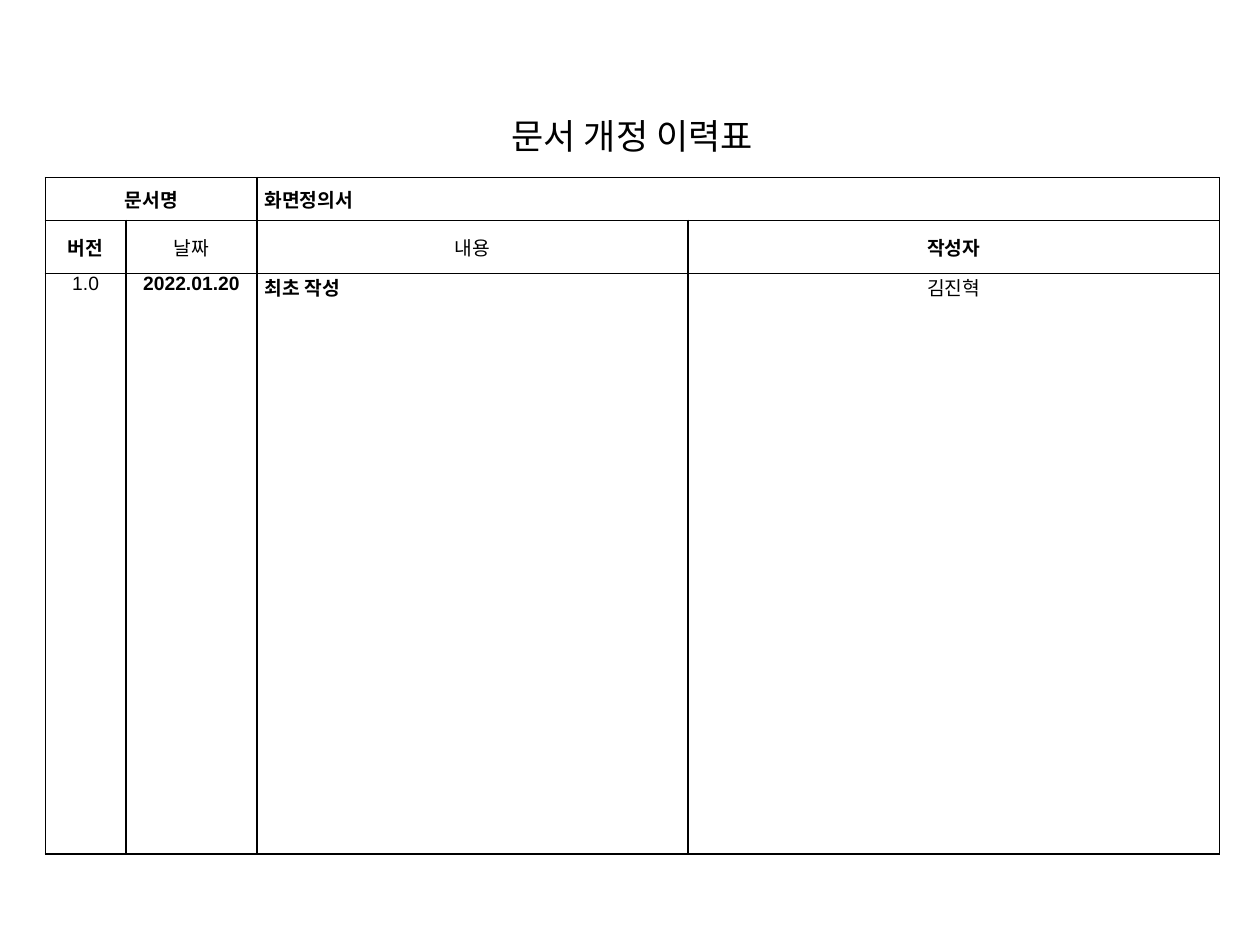
from lxml.etree import SubElement
from pptx import Presentation
from pptx.dml.color import RGBColor
from pptx.enum.text import MSO_ANCHOR as Anchor, PP_ALIGN as Align
from pptx.oxml.ns import qn
from pptx.util import Inches, Pt

BLACK, WHITE = "000000", "FFFFFF"
LATIN_FONT, KOREAN_FONT = "Arial", "Noto Sans CJK KR"
TABLE_LEFT, TABLE_TOP = 0.36, 0.32
COLUMN_WIDTHS = [0.64, 1.04, 3.42, 4.22]
ROW_HEIGHTS = [1.09, 0.34, 0.42, 4.61]
TITLE_ROW, HISTORY_ROW = 0, 3
SIDE_MARGIN, TITLE_BOTTOM_MARGIN = 0.06, 0.14
TITLE_SIZE, BODY_SIZE = 20, 11

# row, column, columns spanned, text, bold, alignment
CELLS = [
    (0, 0, 4, "문서 개정 이력표", False, Align.CENTER),
    (1, 0, 2, "문서명", True, Align.CENTER),
    (1, 2, 2, "화면정의서", True, Align.JUSTIFY),
    (2, 0, 1, "버전", True, Align.CENTER),
    (2, 1, 1, "날짜", False, Align.CENTER),
    (2, 2, 1, "내용", False, Align.CENTER),
    (2, 3, 1, "작성자", True, Align.CENTER),
    (3, 0, 1, "1.0", False, Align.CENTER),
    (3, 1, 1, "2022.01.20", True, Align.CENTER),
    (3, 2, 1, "최초 작성", True, Align.JUSTIFY),
    (3, 3, 1, "김진혁", False, Align.CENTER),
]


def color(hex_value):
    return RGBColor.from_string(hex_value)


def set_borders(cell, is_title):
    properties = cell._tc.get_or_add_tcPr()
    for side in ("lnL", "lnR", "lnT", "lnB"):
        line = SubElement(properties, qn(f"a:{side}"), w=str(Pt(1)))
        fill = SubElement(line, qn("a:solidFill"))
        line_color = WHITE if is_title and side != "lnB" else BLACK
        SubElement(fill, qn("a:srgbClr"), val=line_color)


def format_cell(cell, row):
    is_title = row == TITLE_ROW
    set_borders(cell, is_title)
    cell.fill.solid()
    cell.fill.fore_color.rgb = color(WHITE)
    cell.margin_left = cell.margin_right = Inches(SIDE_MARGIN)
    cell.margin_top = 0
    cell.margin_bottom = Inches(TITLE_BOTTOM_MARGIN if is_title else 0)
    anchors = {TITLE_ROW: Anchor.BOTTOM, HISTORY_ROW: Anchor.TOP}
    cell.vertical_anchor = anchors.get(row, Anchor.MIDDLE)


def write_cell(cell, text, size, bold, alignment):
    cell.text = text
    paragraph = cell.text_frame.paragraphs[0]
    paragraph.alignment = alignment
    font = paragraph.runs[0].font
    font.size, font.bold, font.name = Pt(size), bold, LATIN_FONT
    font.color.rgb = color(BLACK)
    run_properties = paragraph.runs[0]._r.get_or_add_rPr()
    SubElement(run_properties, qn("a:ea"), typeface=KOREAN_FONT)


def main():
    presentation = Presentation()
    presentation.slide_width, presentation.slide_height = Inches(10), Inches(7.5)
    slide = presentation.slides.add_slide(presentation.slide_layouts[6])

    table = slide.shapes.add_table(
        len(ROW_HEIGHTS), len(COLUMN_WIDTHS),
        Inches(TABLE_LEFT), Inches(TABLE_TOP),
        Inches(sum(COLUMN_WIDTHS)), Inches(sum(ROW_HEIGHTS))).table
    table.first_row = table.horz_banding = False
    for column, width in zip(table.columns, COLUMN_WIDTHS):
        column.width = Inches(width)
    for row_index, (row, height) in enumerate(zip(table.rows, ROW_HEIGHTS)):
        row.height = Inches(height)
        for cell in row.cells:
            format_cell(cell, row_index)

    for row, column, span, text, bold, alignment in CELLS:
        cell = table.cell(row, column)
        if span > 1:
            cell.merge(table.cell(row, column + span - 1))
        size = TITLE_SIZE if row == TITLE_ROW else BODY_SIZE
        write_cell(cell, text, size, bold, alignment)

    presentation.save("out.pptx")


if __name__ == "__main__":
    main()
